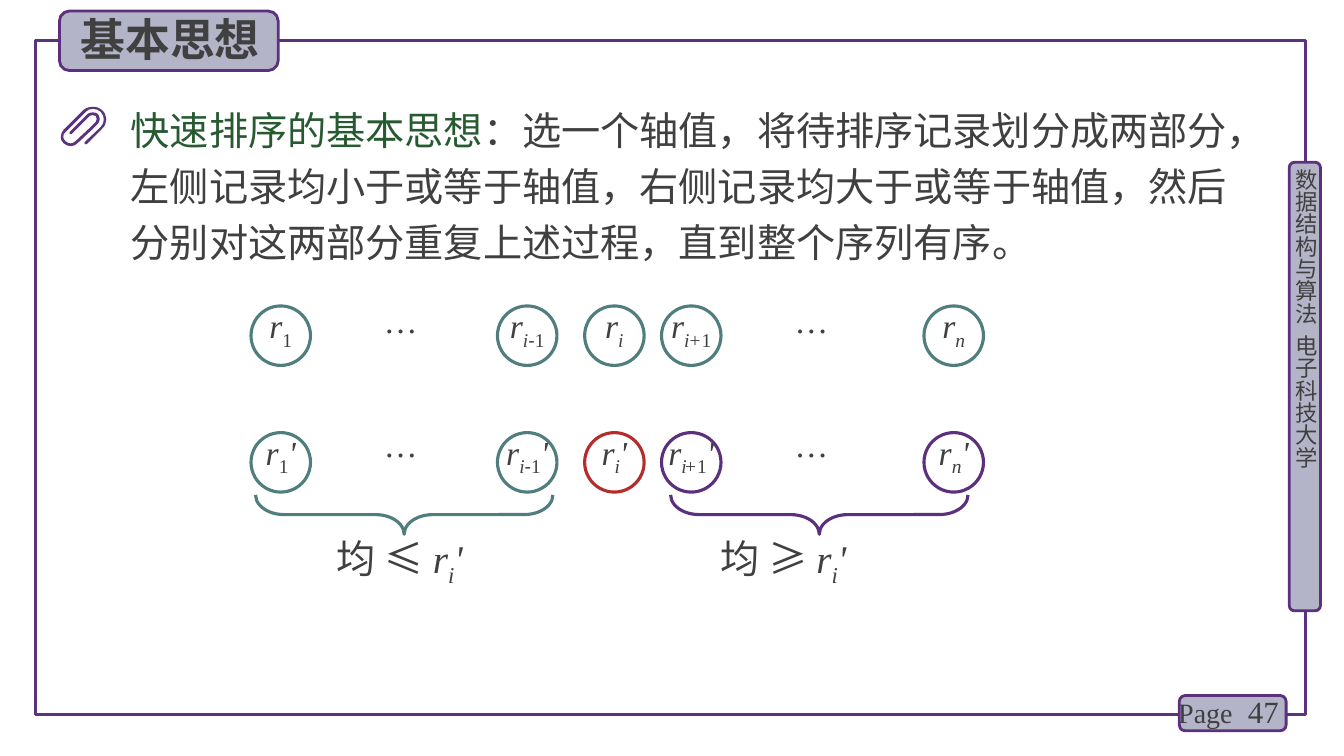
from dataclasses import dataclass
from typing import Optional, Sequence

from lxml.etree import SubElement
from pptx import Presentation
from pptx.dml.color import RGBColor
from pptx.enum.shapes import MSO_SHAPE
from pptx.enum.text import MSO_ANCHOR, MSO_AUTO_SIZE, PP_ALIGN
from pptx.oxml.ns import qn
from pptx.util import Emu, Inches, Pt

COLORS = {
    "frame": "5A327D", "purple": "5C307D", "tab": "B4B4C8", "text": "404040",
    "green": "285A32", "teal": "507D7D", "red": "B42D2D",
}
SANS, SERIF = "Noto Sans CJK SC", "Times New Roman"

prs = Presentation()
prs.slide_width, prs.slide_height = Inches(40 / 3), Inches(7.5)
slide = prs.slides.add_slide(prs.slide_layouts[6])

# The slide is a grid of 160 columns by 90 rows of square cells
CELL = prs.slide_width / 160


@dataclass
class Box:
    col: float
    row: float
    cols: float
    rows: float

    def emu(self) -> list[Emu]:
        return [Emu(round(v * CELL)) for v in (self.col, self.row, self.cols, self.rows)]


@dataclass
class Run:
    text: str
    size: float = 24
    font: str = SERIF
    color: str = "text"
    bold: bool = False
    italic: bool = False
    sub: bool = False
    spacing: float = 0


@dataclass
class Node:
    col: float
    subscript: Sequence[Run]
    tight_before: float
    tight_after: float
    color_after: str


@dataclass
class Half:
    brace_col: float
    label_col: float
    dots_col: float
    sign: str
    color: str


def rgb(name: str) -> RGBColor:
    return RGBColor.from_string(COLORS[name])


def draw_shape(kind: MSO_SHAPE, box: Box, line: str, width: float = 2.25,
               fill: Optional[str] = None):
    sp = slide.shapes.add_shape(kind, *box.emu())
    sp.shadow.inherit = False
    sp.line.color.rgb = rgb(line)
    sp.line.width = Pt(width)
    if fill:
        sp.fill.solid()
        sp.fill.fore_color.rgb = rgb(fill)
    else:
        sp.fill.background()
    return sp


def write(sp, runs: Sequence[Run], align: PP_ALIGN = PP_ALIGN.LEFT,
          leading: Optional[float] = None) -> None:
    p = sp.text_frame.paragraphs[0]
    p.text = runs[0].text
    for run in runs[1:]:
        p.add_run().text = run.text
    p.alignment = align
    if leading:
        p.line_spacing = Pt(leading)
    for r, run in zip(p.runs, runs):
        r.font.size, r.font.name = Pt(run.size), run.font
        r.font.bold, r.font.italic = run.bold, run.italic
        r.font.color.rgb = rgb(run.color)
        props = r.font._element
        SubElement(props, qn("a:ea")).set("typeface", SANS)
        if run.sub:
            props.set("baseline", "-25000")
        if run.spacing:
            props.set("spc", str(round(run.spacing * 100)))


def no_insets(sp) -> None:
    tf = sp.text_frame
    tf.margin_left = tf.margin_top = tf.margin_right = tf.margin_bottom = 0


def draw_text(box: Box, runs: Sequence[Run], align: PP_ALIGN = PP_ALIGN.LEFT,
              leading: Optional[float] = None):
    sp = slide.shapes.add_textbox(*box.emu())
    sp.text_frame.word_wrap = True
    sp.text_frame.auto_size = MSO_AUTO_SIZE.NONE
    write(sp, runs, align, leading)
    return sp


def draw_node(node: Node, row: float, color: str, spacing: float, prime: bool) -> None:
    sp = draw_shape(MSO_SHAPE.OVAL, Box(node.col, row, 7.08, 7.08), color)
    no_insets(sp)
    sp.text_frame.word_wrap = False
    sp.text_frame.vertical_anchor = MSO_ANCHOR.MIDDLE
    runs = [Run("r", italic=True, spacing=spacing)]
    runs += [Run(s.text, font=s.font, italic=s.italic, sub=True, spacing=spacing)
             for s in node.subscript]
    if prime:
        runs.append(Run("'", italic=True, spacing=spacing))
    write(sp, runs, PP_ALIGN.CENTER, 22)


def draw_clip(box: Box, size: tuple[int, int], outline: Sequence[tuple]) -> None:
    """Outline items are points, or two control points and an end, in 1/100 inch."""
    builder = slide.shapes.build_freeform(0, 0, scale=Inches(0.01))
    builder.add_line_segments([size], close=False)
    left, top, _, _ = box.emu()
    sp = builder.convert_to_shape(left, top)
    sp.shadow.inherit = False
    sp.fill.solid()
    sp.fill.fore_color.rgb = rgb("frame")
    sp.line.fill.background()
    # Replace the diagonal that sets the extent with lines and cubic curves
    track = next(sp._element.iter(qn("a:path")))
    for step in list(track):
        track.remove(step)
    for i, item in enumerate(outline):
        tag = "a:moveTo" if i == 0 else "a:lnTo" if len(item) == 2 else "a:cubicBezTo"
        step = SubElement(track, qn(tag))
        for px, py in zip(item[::2], item[1::2]):
            pt = SubElement(step, qn("a:pt"))
            pt.set("x", str(px))
            pt.set("y", str(py))
    SubElement(track, qn("a:close"))


# Frame, side tab and page number
draw_shape(MSO_SHAPE.RECTANGLE, Box(4.2, 4.8, 151.2, 80.28), "frame")
for tab in (Box(153.48, 19.32, 3.72, 53.4), Box(140.4, 82.8, 12.72, 4.2),
            Box(7.08, 1.32, 26.04, 7.08)):
    draw_shape(MSO_SHAPE.ROUNDED_RECTANGLE, tab, "purple", 2, "tab")
side = draw_text(Box(153.84, 20.04, 3.24, 53.88),
                 [Run("数据结构与算法", 16, SANS), Run(" ", 16, SANS, spacing=3.6),
                  Run("电子科技大学", 16, SANS)])
no_insets(side)
side.text_frame._txBody.bodyPr.set("vert", "eaVert")
number = draw_text(Box(142.36, 82.32, 11.04, 4.8), [Run("47", 22)], PP_ALIGN.RIGHT)
number.text_frame.vertical_anchor = MSO_ANCHOR.MIDDLE
draw_text(Box(139.08, 82.2, 15.36, 5.28), [Run("Page", 20)])

# Title and main statement
draw_text(Box(8.4, 0.84, 25.44, 7.68), [Run("基本思想", 32, SANS, bold=True)])
draw_text(Box(14.4, 11.04, 137.16, 21.36), [
    Run("快速排序的基本思想", 28, SANS, "green"),
    Run("：选一个轴值，将待排序记录划分成两部分，左侧记录均小于或等于轴值，"
        "右侧记录均大于或等于轴值，然后分别对这两部分重复上述过程，直到整个序列有序。", 28, SANS),
], leading=40)

# Paper clip marker
draw_clip(Box(7.08, 12.72, 5.64, 4.68), (47, 39), [
    (42, 3), (40, 1, 37, 0, 33, 0), (30, 0, 26, 1, 24, 3), (12, 15), (4, 23),
    (1, 26, 0, 33, 4, 36), (6, 38, 9, 39, 11, 39), (14, 39, 16, 38, 18, 36),
    (33, 22), (38, 17), (39, 16, 40, 14, 40, 12), (40, 10, 39, 9, 38, 7),
    (35, 5, 31, 5, 28, 7), (10, 25), (10, 25, 10, 26, 10, 27), (12, 27), (30, 9),
    (32, 8, 34, 8, 36, 9), (37, 10, 37, 11, 37, 12), (37, 13, 37, 14, 36, 15),
    (31, 20), (16, 34), (13, 37, 9, 37, 6, 34), (3, 32, 3, 27, 6, 25), (26, 5),
    (28, 3, 30, 2, 33, 2), (36, 2, 39, 3, 41, 5), (45, 9, 45, 16, 41, 20),
    (25, 35), (25, 35, 25, 36, 25, 37), (27, 37), (42, 22), (48, 17, 48, 8, 42, 3),
])

# Records before and after partitioning
NODES = [
    Node(29.88, [Run("1")], 0, -1, "teal"),
    Node(59.22, [Run("i", italic=True), Run("-", font="Arial"), Run("1")], -0.7, -2, "teal"),
    Node(69.6, [Run("i", italic=True)], 0, 0, "red"),
    Node(78.75, [Run("i+", italic=True), Run("1")], -0.7, -2, "purple"),
    Node(110, [Run("n", italic=True)], 0, -1, "purple"),
]
for node in NODES:
    draw_node(node, 36.42, "teal", node.tight_before, prime=False)
    draw_node(node, 51.5, node.color_after, node.tight_after, prime=True)

# Dots, braces and labels of the two halves
for half in (Half(45.78, 38.94, 41.64, "≤", "teal"), Half(95.2, 84.6, 90.54, "≥", "purple")):
    for row in (36.24, 51):
        draw_text(Box(half.dots_col, row, 12.12, 4.92), [Run("…")], PP_ALIGN.CENTER, 22)
    brace = draw_shape(MSO_SHAPE.LEFT_BRACE, Box(half.brace_col, 43.56, 4.68, 35.4), half.color)
    brace.adjustments[0], brace.adjustments[1] = 0.73, 0.5
    brace.rotation = 270
    draw_text(Box(half.label_col, 63, 26.04, 6.84), [
        Run(f"均 {half.sign} ", 28), Run("r", 28, italic=True),
        Run("i", 28, italic=True, sub=True), Run("'", 28, italic=True)])

prs.save("out.pptx")
